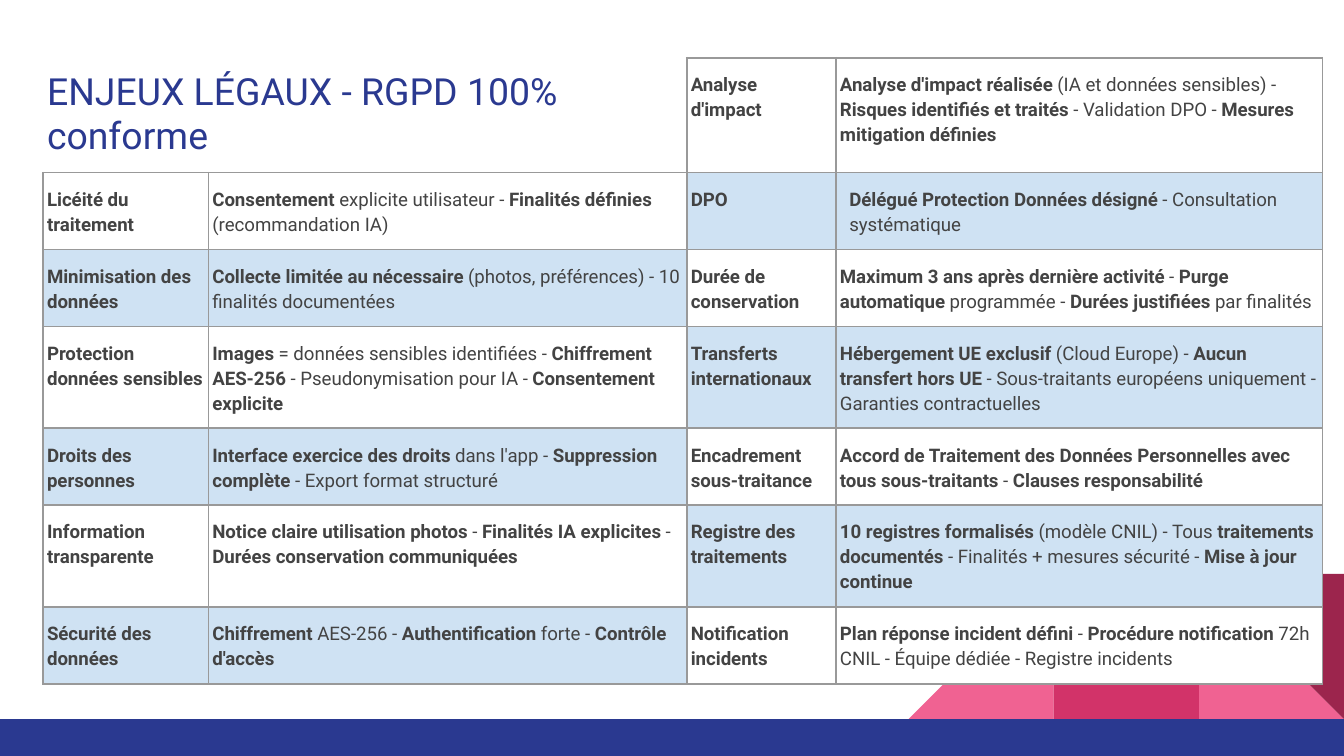
"""Build the slide on GDPR legal issues with its compliance table."""
from lxml.etree import SubElement
from pptx import Presentation
from pptx.dml.color import RGBColor
from pptx.enum.shapes import MSO_SHAPE
from pptx.enum.text import MSO_ANCHOR
from pptx.oxml import parse_xml
from pptx.oxml.ns import nsdecls, qn
from pptx.util import Inches, Pt


def color(value):
    return RGBColor.from_string(value)


def write_text(cell, text, size=10, ink="434343", spacing=1.15, side=0.03, anchor=MSO_ANCHOR.TOP):
    cell.margin_left = cell.margin_right = Inches(side)
    cell.margin_top = cell.margin_bottom = Inches(0.1)
    cell.vertical_anchor = anchor
    paragraph = cell.text_frame.paragraphs[0]
    paragraph.line_spacing = spacing
    for index, part in enumerate(text.split("**")):
        if part:
            run = paragraph.add_run()
            run.text = part
            run.font.name = "Roboto"
            run.font.size = Pt(size)
            run.font.bold = index % 2 == 1
            run.font.color.rgb = color(ink)


presentation = Presentation()
presentation.slide_width = Inches(10)
presentation.slide_height = Inches(10) * 9 // 16
slide = presentation.slides.add_slide(presentation.slide_layouts[6])

decorations = [
    (MSO_SHAPE.RIGHT_TRIANGLE, 8.92, 4.27, 1.08, 1.08, 0, "F06292"),
    (MSO_SHAPE.RIGHT_TRIANGLE, 6.76, 4.27, 1.08, 1.08, 270, "F06292"),
    (MSO_SHAPE.RECTANGLE, 7.84, 4.27, 1.08, 1.08, 0, "D23369"),
    (MSO_SHAPE.RIGHT_TRIANGLE, 8.92, 4.27, 1.08, 1.08, 180, "9C254D"),
    (MSO_SHAPE.RECTANGLE, 0, 5.35, 10, 0.28, 0, "2A3990"),
]
for kind, left, top, width, height, rotation, fill in decorations:
    shape = slide.shapes.add_shape(kind, Inches(left), Inches(top), Inches(width), Inches(height))
    shape.rotation = rotation
    shape.shadow.inherit = False
    shape.fill.solid()
    shape.fill.fore_color.rgb = color(fill)
    shape.line.fill.background()

title = "ENJEUX LÉGAUX - RGPD 100% conforme"
rows = [
    (title, "", "Analyse d'impact",
     "**Analyse d'impact réalisée **(IA et données sensibles) - **Risques identifiés et traités**"
     " - Validation DPO - **Mesures mitigation définies**"),
    ("Licéité du traitement",
     "**Consentement **explicite utilisateur - **Finalités définies** (recommandation IA)",
     "DPO", "**Délégué Protection Données désigné **- Consultation systématique"),
    ("Minimisation des données",
     "**Collecte limitée au nécessaire **(photos, préférences) - 10 finalités documentées",
     "Durée de conservation",
     "**Maximum 3 ans après dernière activité** - **Purge automatique** programmée - "
     "**Durées justifiées** par finalités"),
    ("Protection données sensibles",
     "**Images **= données sensibles identifiées - **Chiffrement AES-256 **"
     "- Pseudonymisation pour IA - **Consentement explicite**",
     "Transferts internationaux",
     "**Hébergement UE exclusif **(Cloud Europe) - **Aucun transfert hors UE**"
     " - Sous-traitants européens uniquement - Garanties contractuelles"),
    ("Droits des personnes",
     "**Interface exercice des droits** dans l'app - **Suppression complète**"
     " - Export format structuré",
     "Encadrement sous-traitance",
     "**Accord de Traitement des Données Personnelles avec tous sous-traitants**"
     " - **Clauses responsabilité**"),
    ("Information transparente",
     "**Notice claire utilisation photos** - **Finalités IA explicites** - "
     "**Durées conservation communiquées**",
     "Registre des traitements",
     "**10 registres formalisés** (modèle CNIL) - Tous** traitements documentés**"
     " - Finalités + mesures sécurité - **Mise à jour continue**"),
    ("Sécurité des données",
     "**Chiffrement **AES-256 - **Authentification **forte - **Contrôle d'accès**",
     "Notification incidents",
     "**Plan réponse incident défini **- **Procédure notification**"
     " 72h CNIL - Équipe dédiée - Registre incidents"),
]
column_widths = [1.23, 3.56, 1.11, 3.62]
row_heights = [0.48, 0.32, 0.42, 0.42, 0.32, 0.42, 0.32]

table = slide.shapes.add_table(
    len(rows), len(column_widths), Inches(0.32), Inches(0.43),
    Inches(sum(column_widths)), Inches(sum(row_heights))).table
table.first_row = table.horz_banding = False
for column, width in zip(table.columns, column_widths):
    column.width = Inches(width)
for row, height in zip(table.rows, row_heights):
    row.height = Inches(height)
table.cell(0, 0).merge(table.cell(0, 1))

for row_index, row in enumerate(rows):
    for column_index, text in enumerate(row):
        cell = table.cell(row_index, column_index)
        right_half = column_index >= 2
        in_title = row_index == 0 and not right_half
        blue = (row_index + right_half) % 2 == 0
        if in_title or not (blue or right_half):
            cell.fill.background()
        else:
            cell.fill.solid()
            cell.fill.fore_color.rgb = color("CFE2F3" if blue else "FFFFFF")
        for position, side in enumerate("LRTB"):
            border = parse_xml(f'<a:ln{side} {nsdecls("a")} w="12700"/>')
            if in_title and side in "LT":
                SubElement(border, qn("a:noFill"))
            else:
                solid = SubElement(border, qn("a:solidFill"))
                SubElement(solid, qn("a:srgbClr"), val="999999")
            cell._tc.get_or_add_tcPr().insert(position, border)
        if text == title:
            write_text(cell, text, size=20, ink="2A3990", spacing=1, anchor=MSO_ANCHOR.BOTTOM)
        elif text:
            is_label = column_index % 2 == 0
            write_text(cell, f"**{text}**" if is_label else text,
                       side=0.1 if text.startswith("**Délégué") else 0.03)

presentation.save("out.pptx")
